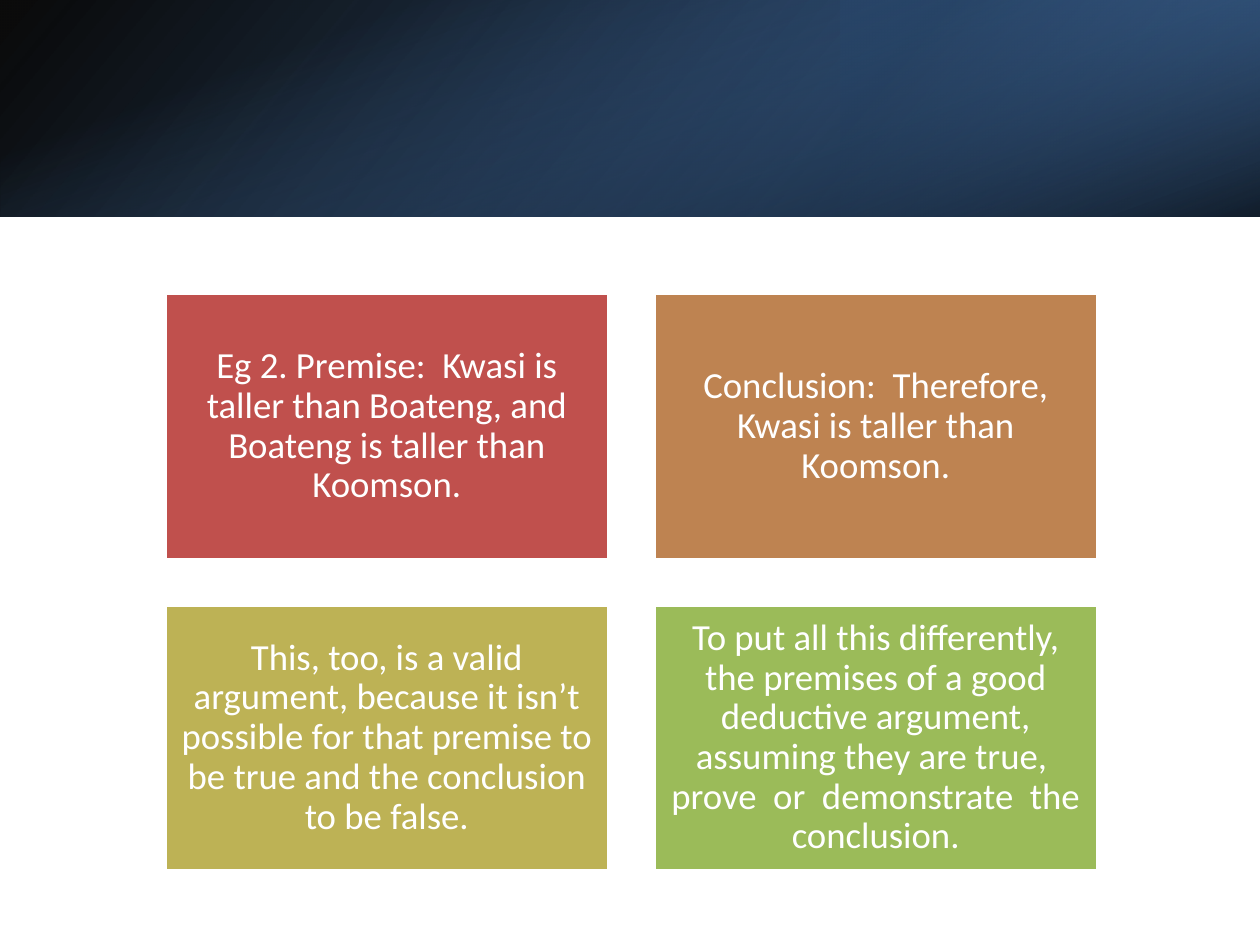
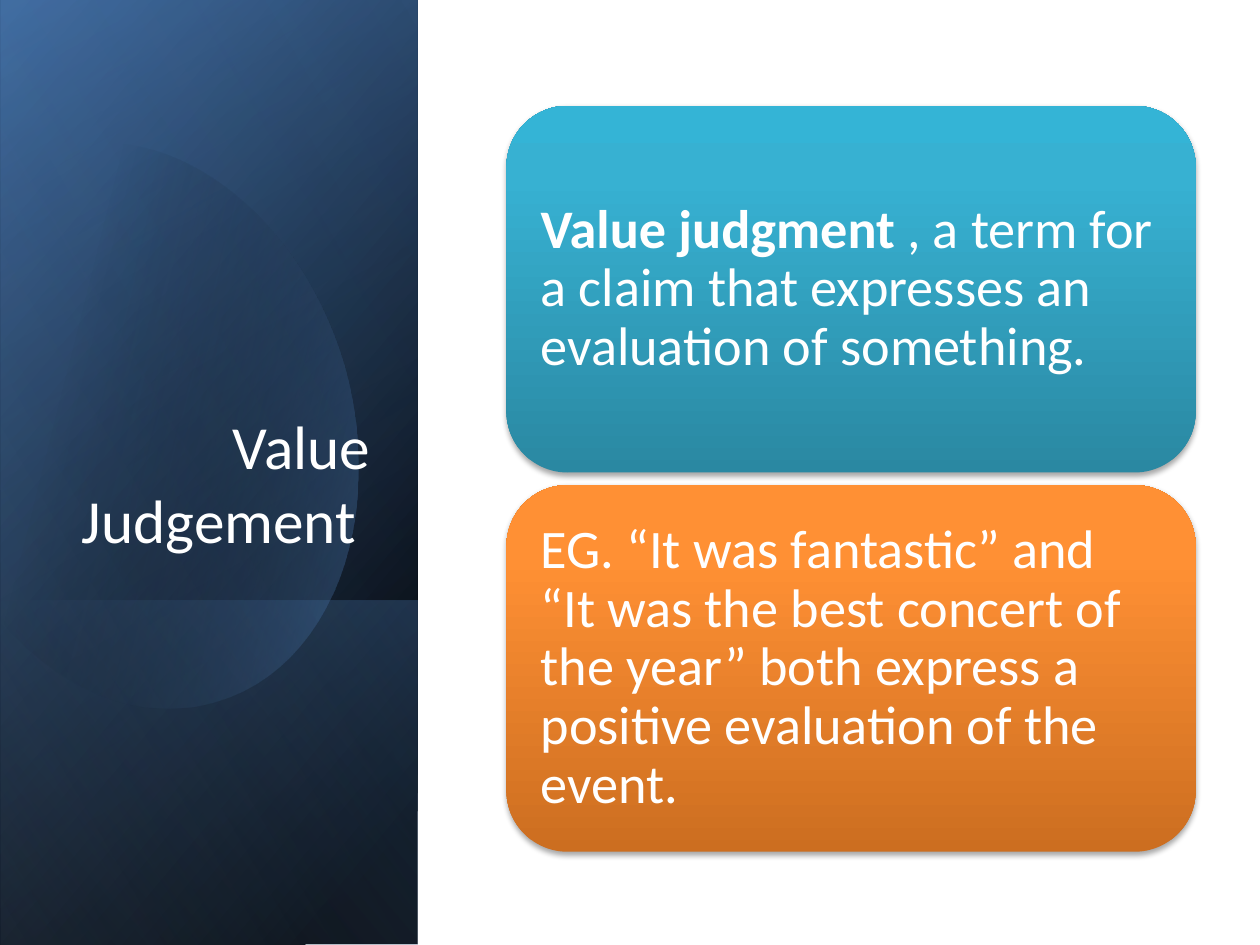
from dataclasses import dataclass

import lxml.etree
import pptx
import pptx.dml.color
import pptx.enum.shapes
import pptx.enum.text
import pptx.oxml.ns
import pptx.util

Inches = pptx.util.Inches
Pt = pptx.util.Pt
KIND = pptx.enum.shapes.MSO_SHAPE
ALIGN = pptx.enum.text.PP_ALIGN
ANCHOR = pptx.enum.text.MSO_ANCHOR

FONT = "Calibri"
WHITE, BLACK = "FFFFFF", "000000"
BLUE, DEEP, NAVY, PALE = "4F81BD", "376092", "254061", "95B3D7"


@dataclass(frozen=True)
class Stop:
    pos: float
    tint: str
    alpha: float = 100


@dataclass(frozen=True)
class Band:
    """A gradient bar; the box is its frame before it is turned."""
    box: tuple[float, float, float, float]
    stops: tuple[Stop, ...]
    angle: float
    turn: float = 0
    flip: bool = True


@dataclass(frozen=True)
class Card:
    text: str
    fill: str | tuple[Stop, ...]
    lead: str = ""


@dataclass(frozen=True)
class Style:
    kind: int
    size: tuple[float, float]
    start: tuple[float, float]
    step: tuple[float, float]
    cols: int
    pad: float
    points: float
    align: int


TOP_BANDS = (
    Band((0, 0, 10, 1.72), (Stop(0, BLACK, 96), Stop(100, DEEP)), 140),
    Band((6.67, 0, 3.33, 1.72), (Stop(19, NAVY, 68), Stop(100, BLUE, 79)), 320, 180),
    Band((4.14, -4.14, 1.72, 10), (Stop(23, BLUE, 0), Stop(99, BLACK, 74)), 340, 90, False),
)
SIDE = (-2.09, 2.09, 7.5, 3.31)
SIDE_BANDS = (
    Band(SIDE, (Stop(8, BLACK), Stop(100, DEEP)), 50, 90),
    Band(SIDE, (Stop(0, BLACK, 0), Stop(99, BLUE, 46)), 30, 90),
    Band((0.29, 4.48, 2.74, 3.31), (Stop(2, BLUE, 29), Stop(100, BLACK, 30)), 130, 90),
)
GLOSS = Band(SIDE, (Stop(0, BLACK, 0), Stop(99, PALE, 11)), 120, 90)

# Each curve is two control points and an end; a lone point is a straight edge.
OVAL = (
    ((1.71, 1.22), (2.44, 1.92), (2.73, 2.9)),
    ((3.07, 4.12), (2.62, 5.31), (1.71, 5.57)),
    ((1.14, 5.74), (0.53, 5.5), (0.07, 5)),
    ((-0.03, 4.88),),
    ((-0.25, 1.66),),
    ((-0.15, 1.54),),
    ((0.02, 1.37), (0.22, 1.25), (0.45, 1.18)),
    ((0.62, 1.13), (0.79, 1.12), (0.96, 1.14)),
)

TILES = Style(KIND.RECTANGLE, (3.52, 2.11), (1.31, 2.33), (3.88, 2.47), 2, 0.09, 21, ALIGN.CENTER)
PANELS = Style(KIND.ROUNDED_RECTANGLE, (5.47, 2.91), (4.02, 0.84), (0, 3.01), 1, 0.13, 31, ALIGN.LEFT)

PROOF = (
    Card("Eg 2. Premise:  Kwasi is taller than Boateng, and Boateng is taller than Koomson.", "C0504D"),
    Card("Conclusion:  Therefore, Kwasi is taller than Koomson.", "BE8351"),
    Card("This, too, is a valid argument, because it isn’t possible for that premise "
         "to be true and the conclusion to be false.", "BDB255"),
    Card("To put all this differently, the premises of a good deductive argument, "
         "assuming they are true,  prove  or  demonstrate  the conclusion.", "9BBB59"),
)
VALUE = (
    Card(", a term for a claim that expresses an evaluation of something.",
         (Stop(0, "2A88A2"), Stop(80, "37B1D2"), Stop(100, "34B4D6")), "Value judgment "),
    Card("EG. “It was fantastic” and “It was the best concert of the year” both "
         "express a positive evaluation of the event.",
         (Stop(0, "CC6E20"), Stop(80, "FF9034"), Stop(100, "FF9136"))),
)


def tone(code: str) -> pptx.dml.color.RGBColor:
    return pptx.dml.color.RGBColor.from_string(code)


def apply(item, **vals) -> None:
    for name, val in vals.items():
        setattr(item, name, val)


def node(base, tag: str, **vals):
    """Add a drawing element with whole-number or text values."""
    part = lxml.etree.SubElement(base, pptx.oxml.ns.qn(f"a:{tag}"))
    for name, val in vals.items():
        part.set(name, val if isinstance(val, str) else str(round(val)))
    return part


def tint(base, code: str, alpha: float) -> None:
    part = node(base, "srgbClr", val=code)
    if alpha < 100:
        node(part, "alpha", val=alpha * 1000)


def blend(shape, stops: tuple[Stop, ...], angle: float) -> None:
    """Fill with a linear gradient; the angle runs clockwise."""
    shape.fill.gradient()
    grad = shape._element.spPr.find(pptx.oxml.ns.qn("a:gradFill"))
    for old in list(grad):
        grad.remove(old)
    group = node(grad, "gsLst")
    for stop in stops:
        tint(node(group, "gs", pos=stop.pos * 1000), stop.tint, stop.alpha)
    node(grad, "lin", ang=angle * 60000, scaled="0")


def plain(shape) -> None:
    shape.shadow.inherit = False
    shape.line.fill.background()


def shade(shape) -> None:
    effects = shape._element.spPr.find(pptx.oxml.ns.qn("a:effectLst"))
    part = node(effects, "outerShdw", blurRad=Pt(3.1), dist=Pt(1.8), dir=90 * 60000, rotWithShape="0")
    tint(part, BLACK, 35)


def write(para, text: str, points: float, bold: bool = False) -> None:
    run = para.add_run()
    run.text = text
    apply(run.font, name=FONT, size=Pt(points), bold=bold)
    run.font.color.rgb = tone(WHITE)


def add_band(slide, band: Band) -> None:
    shape = slide.shapes.add_shape(KIND.RECTANGLE, *map(Inches, band.box))
    plain(shape)
    blend(shape, band.stops, band.angle)
    shape.rotation = band.turn
    if band.flip:
        shape._element.spPr.xfrm.set("flipH", "1")


def curve(start: tuple, ends: tuple, count: int = 24) -> list[tuple[float, float]]:
    """Points along a cubic curve, without its start."""
    if len(ends) == 1:
        return list(ends)
    knots = (start, *ends)
    points = []
    for step in range(1, count + 1):
        t = step / count
        parts = ((1 - t) ** 3, 3 * t * (1 - t) ** 2, 3 * t * t * (1 - t), t ** 3)
        points.append(tuple(sum(p * k[axis] for p, k in zip(parts, knots)) for axis in (0, 1)))
    return points


def add_oval(slide) -> None:
    start = OVAL[-1][-1]
    points = [start]
    for ends in OVAL:
        points += curve(points[-1], ends)
    spots = [(Inches(x), Inches(y)) for x, y in points]
    pen = slide.shapes.build_freeform(*spots[0])
    pen.add_line_segments(spots[1:], close=True)
    shape = pen.convert_to_shape()
    plain(shape)
    blend(shape, (Stop(29, BLACK, 0), Stop(100, BLUE, 43)), 14)


def add_cards(slide, cards: tuple[Card, ...], style: Style) -> None:
    for index, card in enumerate(cards):
        row, col = divmod(index, style.cols)
        left = style.start[0] + col * style.step[0]
        top = style.start[1] + row * style.step[1]
        shape = slide.shapes.add_shape(style.kind, *map(Inches, (left, top, *style.size)))
        plain(shape)
        if isinstance(card.fill, str):
            shape.fill.solid()
            shape.fill.fore_color.rgb = tone(card.fill)
            shape.line.color.rgb = tone(WHITE)
            shape.line.width = Pt(2)
        else:
            blend(shape, card.fill, 270)
            shade(shape)
        frame = shape.text_frame
        sides = ("left", "top", "right", "bottom")
        apply(frame, word_wrap=True, vertical_anchor=ANCHOR.MIDDLE,
              **{f"margin_{side}": Inches(style.pad) for side in sides})
        para = frame.paragraphs[0]
        apply(para, alignment=style.align, line_spacing=0.9)
        if card.lead:
            write(para, card.lead, style.points, True)
        write(para, card.text, style.points)


def add_title(slide, text: str) -> None:
    title = slide.shapes.title
    apply(title, left=Inches(0.48), top=Inches(1.84), width=Inches(2.56), height=Inches(2.62))
    apply(title.text_frame, word_wrap=True, vertical_anchor=ANCHOR.BOTTOM,
          auto_size=pptx.enum.text.MSO_AUTO_SIZE.NONE)
    para = title.text_frame.paragraphs[0]
    para.alignment = ALIGN.RIGHT
    write(para, text, 35)
    # Bring the title in front of the bands.
    slide.shapes._spTree.append(title._element)


def add_slide(deck, layout: int):
    slide = deck.slides.add_slide(deck.slide_layouts[layout])
    slide.background.fill.solid()
    slide.background.fill.fore_color.rgb = tone(WHITE)
    return slide


def main() -> None:
    deck = pptx.Presentation()
    apply(deck, slide_width=Inches(10), slide_height=Inches(7.5))

    proof = add_slide(deck, 6)
    for band in TOP_BANDS:
        add_band(proof, band)
    add_cards(proof, PROOF, TILES)

    value = add_slide(deck, 5)
    for band in SIDE_BANDS:
        add_band(value, band)
    add_oval(value)
    add_band(value, GLOSS)
    add_title(value, "Value Judgement ")
    add_cards(value, VALUE, PANELS)

    deck.save("out.pptx")


if __name__ == "__main__":
    main()
